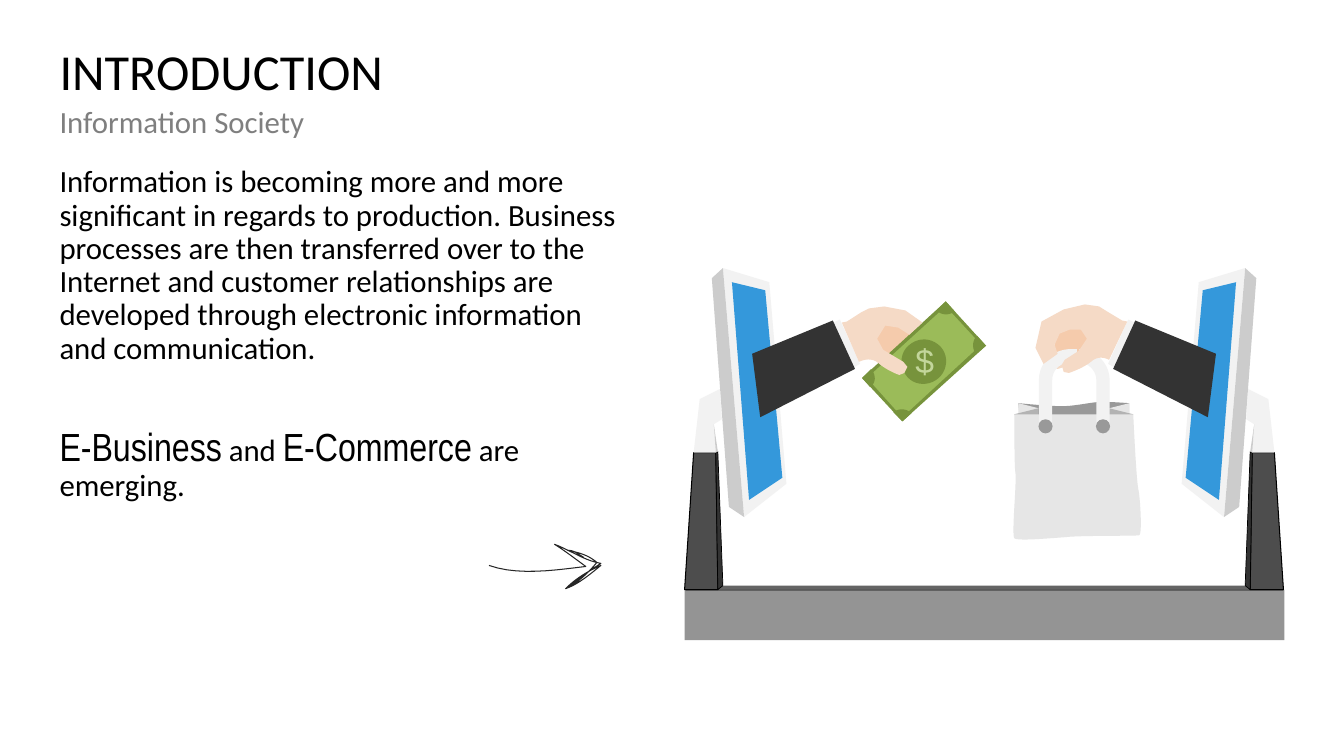
from dataclasses import dataclass, replace

from lxml.etree import SubElement
from pptx import Presentation
from pptx.dml.color import RGBColor
from pptx.enum.shapes import MSO_SHAPE as Shape
from pptx.enum.text import MSO_ANCHOR as Anchor, MSO_AUTO_SIZE as AutoSize, PP_ALIGN as Align
from pptx.oxml.ns import qn
from pptx.util import Inches, Pt

CURVE_STEPS = 10
SCENE_WIDTH_SUM = 19.52  # left x + right x of the two facing monitors
BAG_WIDTH_SUM = 21.3

# A node is (x, y) for a straight line or (x1, y1, x2, y2, x, y) for a curve.
Node = tuple[float, ...]


@dataclass(frozen=True)
class Outline:
    nodes: list[Node]
    fill: str | None = None
    line: str | None = None
    weight: float = 0.75


@dataclass(frozen=True)
class Span:
    text: str
    size: float = 22
    color: str = "000000"
    font: str = "Calibri"


@dataclass(frozen=True)
class Block:
    shape: Shape
    at: tuple[float, float, float, float]
    fill: str
    alpha: int = 100


def rgb(color: str) -> RGBColor:
    return RGBColor.from_string(color)


def set_all(target, values: dict) -> None:
    for name, value in values.items():
        setattr(target, name, value)


def place(shape, at: tuple[float, float, float, float]) -> None:
    set_all(shape, dict(zip(("left", "top", "width", "height"), map(Inches, at))))


def paint(shape, fill: str | None, line: str | None = None, weight: float = 0.75) -> None:
    shape.shadow.inherit = False
    if fill:
        shape.fill.solid()
        shape.fill.fore_color.rgb = rgb(fill)
    else:
        shape.fill.background()
    if line:
        shape.line.color.rgb = rgb(line)
        shape.line.width = Pt(weight)
    else:
        shape.line.fill.background()


def flatten(nodes: list[Node]) -> list[tuple[float, float]]:
    """Turn lines and cubic curves into a list of points."""
    points = [nodes[0]]
    for node in nodes[1:]:
        if len(node) == 2:
            points.append(node)
            continue
        x0, y0 = points[-1]
        x1, y1, x2, y2, x3, y3 = node
        for step in range(1, CURVE_STEPS + 1):
            t = step / CURVE_STEPS
            a, b, c, d = (1 - t) ** 3, 3 * t * (1 - t) ** 2, 3 * t * t * (1 - t), t ** 3
            points.append((a * x0 + b * x1 + c * x2 + d * x3, a * y0 + b * y1 + c * y2 + d * y3))
    return points


def mirror(outlines: list[Outline], width_sum: float) -> list[Outline]:
    return [replace(outline, nodes=[tuple(width_sum - value if i % 2 == 0 else value
                                          for i, value in enumerate(node))
                                    for node in outline.nodes])
            for outline in outlines]


def draw_outlines(page, outlines: list[Outline]) -> None:
    for outline in outlines:
        points = [(Inches(x), Inches(y)) for x, y in flatten(outline.nodes)]
        builder = page.shapes.build_freeform(*points[0])
        builder.add_line_segments(points[1:], close=outline.fill is not None)
        paint(builder.convert_to_shape(), outline.fill, outline.line, outline.weight)


def draw_blocks(page, blocks: list[Block]) -> None:
    for block in blocks:
        shape = page.shapes.add_shape(block.shape, *map(Inches, block.at))
        paint(shape, block.fill)
        if block.alpha < 100:
            color = shape.fill._xPr.find(".//" + qn("a:srgbClr"))
            SubElement(color, qn("a:alpha"), val=str(block.alpha * 1000))


def write(box, at: tuple[float, float, float, float], paragraphs: list[list[Span]],
          wrap: bool = True, gap: float = 0, **paragraph_format) -> None:
    place(box, at)
    frame = box.text_frame
    set_all(frame, {"margin_left": 0, "margin_top": 0, "margin_right": 0, "margin_bottom": 0,
                    "word_wrap": wrap, "auto_size": AutoSize.NONE, "vertical_anchor": Anchor.TOP})
    for index, spans in enumerate(paragraphs):
        para = frame.add_paragraph() if index else frame.paragraphs[0]
        properties = para._p.get_or_add_pPr()
        set_all_xml = {"marL": "0", "indent": "0"}
        for name, value in set_all_xml.items():
            properties.set(name, value)
        SubElement(properties, qn("a:buNone"))
        set_all(para, {"alignment": Align.LEFT, "space_before": Pt(gap if index else 0),
                       **paragraph_format})
        for item in spans:
            span = para.add_run()
            span.text = item.text
            set_all(span.font, {"name": item.font, "size": Pt(item.size)})
            span.font.color.rgb = rgb(item.color)


ARROW = [Outline([(4.85, 5.61), (5.13, 5.71, 5.49, 5.66, 5.81, 5.62), (5.7, 5.54, 5.61, 5.47, 5.5, 5.4),
                  (5.66, 5.46, 5.79, 5.56, 5.96, 5.59), (5.83, 5.67, 5.72, 5.76, 5.61, 5.84),
                  (5.73, 5.8, 5.85, 5.7, 5.96, 5.61), (5.84, 5.66, 5.71, 5.74, 5.61, 5.84),
                  (5.72, 5.79, 5.83, 5.69, 5.92, 5.58), (5.84, 5.51, 5.74, 5.48, 5.63, 5.46),
                  (5.7, 5.46, 5.72, 5.49, 5.79, 5.53)], line="262626")]
DESK = [Block(Shape.RECTANGLE, (6.79, 5.85, 5.95, 0.5), "262626", 49),
        Block(Shape.RECTANGLE, (6.8, 5.81, 5.93, 0.05), "262626", 71)]
MONEY = [
    Outline([(9.12, 3.35), (9.12, 3.46, 8.97, 3.59, 8.87, 3.59), (8.76, 3.59, 8.68, 3.5, 8.68, 3.38),
             (8.68, 3.27, 8.76, 3.18, 8.87, 3.18), (8.97, 3.18, 9.12, 3.23, 9.12, 3.35)], "F5CBAC"),
    Outline([(8.95, 4.18), (8.55, 3.75), (9.38, 2.99), (9.78, 3.43)], "77933C"),
    Outline([(9.38, 3.04), (9.73, 3.42), (8.95, 4.14), (8.6, 3.75)], "9BBB59"),
    Outline([(8.64, 3.66), (8.69, 3.72, 8.69, 3.8, 8.63, 3.84), (8.55, 3.75)], "77933C"),
    Outline([(9.29, 3.08), (9.34, 3.13, 9.41, 3.13, 9.47, 3.09), (9.38, 2.99)], "77933C"),
    Outline([(9.04, 4.1), (8.99, 4.05, 8.91, 4.05, 8.86, 4.09), (8.95, 4.18)], "77933C"),
    Outline([(9.68, 3.51), (9.64, 3.46, 9.64, 3.38, 9.69, 3.33), (9.78, 3.43)], "77933C"),
    Outline([(9.33, 3.44), (9.41, 3.53, 9.4, 3.67, 9.31, 3.75), (9.22, 3.83, 9.08, 3.83, 9, 3.74),
             (8.92, 3.65, 8.92, 3.51, 9.01, 3.43), (9.11, 3.34, 9.24, 3.35, 9.33, 3.44)], "77933C")]
MONITOR_AND_SLEEVE = [
    Outline([(7.38, 5.13), (7.8, 4.8), (7.63, 2.8), (7.17, 2.66)], "F2F2F2"),
    Outline([(6.88, 4.49), (7.1, 4.49), (7.12, 5.85), (6.79, 5.85)], "4D4D4D", "000000"),
    Outline([(7.12, 5.85), (7.17, 5.81), (7.12, 4.48), (7.1, 4.49)], "333333", "000000", 0.5),
    Outline([(6.88, 4.49), (6.94, 3.96), (7.14, 3.86), (7.16, 4.16), (7.08, 4.21), (7.1, 4.49)], "F2F2F2"),
    Outline([(7.08, 4.21), (7.12, 4.48), (7.1, 4.49)], "CCCCCC"),
    Outline([(7.06, 2.76), (7.23, 5.03), (7.38, 5.13), (7.17, 2.66)], "CCCCCC"),
    Outline([(7.43, 4.96), (7.76, 4.74), (7.59, 2.88), (7.26, 2.8)], "3498DB"),
    Outline([(8.22, 3.22), (8.33, 3.17), (8.53, 3.61), (8.44, 3.66)], "F2F2F2"),
    Outline([(8.26, 3.18), (8.48, 3.66), (7.54, 4.14), (7.46, 3.51)], "333333")]
PAYING_HAND = [Outline([
    (8.52, 3.59), (8.52, 3.59, 8.63, 3.53, 8.71, 3.6), (8.8, 3.68, 8.92, 3.72, 8.92, 3.72), (8.97, 3.7),
    (9, 3.64), (8.96, 3.59), (8.76, 3.47), (8.7, 3.36), (8.78, 3.23), (8.91, 3.25), (9.02, 3.32),
    (9.15, 3.2), (8.98, 3.08), (8.77, 3.04), (8.62, 3.06), (8.54, 3.1), (8.4, 3.19), (8.35, 3.2)], "F5DAC6")]
BAG_PALM = [
    Outline([(10.46, 3.38), (10.46, 3.5, 10.44, 3.63, 10.65, 3.59), (10.76, 3.57, 10.84, 3.5, 10.84, 3.38),
             (10.84, 3.27, 10.76, 3.18, 10.65, 3.18), (10.55, 3.18, 10.46, 3.27, 10.46, 3.38)], "F5CBAC"),
    Outline([(10.35, 3.61), (10.49, 3.66), (10.56, 3.64), (10.56, 3.51), (10.49, 3.51)], "F5DAC6")]
BAG_INSIDE = [Outline([(10.1, 4), (10.1, 4, 10.4, 4.03, 10.53, 4.03), (10.66, 4.03, 10.83, 3.99, 10.89, 3.99),
                       (10.95, 3.98, 11.2, 4, 11.2, 4), (11.2, 4.39), (10.14, 4.39)], "999999")]
BAG_FOLDS = [Outline([(10.3, 4.05), (10.1, 4), (10.1, 4.29)], "E6E6E6"),
             Outline([(10.06, 4.11), (10.3, 4.05), (10.3, 4.47)], "B3B3B3")]
BAG_FRONT = [Outline([
    (10.06, 4.11), (11.24, 4.11), (11.24, 4.11, 11.27, 4.77, 11.29, 4.85),
    (11.31, 4.94, 11.33, 5.3, 11.3, 5.31), (11.27, 5.32, 10.7, 5.31, 10.56, 5.33),
    (10.41, 5.34, 10.09, 5.37, 10.06, 5.34), (10.03, 5.31, 10.09, 4.74, 10.07, 4.68),
    (10.06, 4.61, 10.06, 4.11, 10.06, 4.11)], "E6E6E6")]
BAG_HANDLES = [
    Outline([(10.37, 4.22), (10.37, 3.77), (10.37, 3.64, 10.47, 3.54, 10.6, 3.53), (10.68, 3.53)],
            line="F2F2F2", weight=9.5),
    Outline([(10.7, 3.53), (10.83, 3.53, 10.94, 3.64, 10.94, 3.77), (10.94, 4.22)],
            line="F2F2F2", weight=9.5)]
EYELETS = [Block(Shape.OVAL, (left, 4.16, 0.14, 0.14), "999999") for left in (10.3, 10.87)]
BAG_HAND = [Outline([
    (10.51, 3.31), (10.61, 3.27), (10.72, 3.27), (10.78, 3.36), (10.7, 3.48), (10.56, 3.57), (10.53, 3.62),
    (10.55, 3.69), (10.6, 3.7), (10.6, 3.7, 10.73, 3.66, 10.82, 3.59), (10.9, 3.51, 11, 3.57, 11, 3.57),
    (11.18, 3.19), (11.13, 3.18), (10.98, 3.09), (10.9, 3.04), (10.76, 3.02), (10.55, 3.07), (10.33, 3.19),
    (10.27, 3.45), (10.35, 3.61), (10.49, 3.51), (10.46, 3.42)], "F5DAC6")]
BODY = [[Span("Information is becoming more and more significant in regards to production. Business "
              "processes are then transferred over to the Internet and customer relationships are "
              "developed through electronic information and communication.")],
        [Span("E-Business", 28, font="Arial Narrow"), Span(" and "),
         Span("E-Commerce", 28, font="Arial Narrow"), Span(" are emerging.")]]


def main() -> None:
    deck = Presentation()
    set_all(deck, {"slide_width": Inches(13.33), "slide_height": Inches(7.5)})
    page = deck.slides.add_slide(deck.slide_layouts.get_by_name("Two Content"))
    title, subtitle, body = page.placeholders
    spacing = {"line_spacing": 0.9, "space_after": Pt(10)}
    write(title, (0.59, 0.47, 12.15, 1.18), [[Span("INTRODUCTION", 36)]], line_spacing=0.9)
    write(subtitle, (0.59, 1.06, 12.15, 0.59), [[Span("Information Society", color="7F7F7F")]], **spacing)
    write(body, (0.59, 1.65, 5.63, 4.71), BODY, gap=34, **spacing)

    draw_outlines(page, ARROW)
    draw_blocks(page, DESK)
    draw_outlines(page, MONEY)
    dollar = page.shapes.add_textbox(0, 0, 0, 0)
    write(dollar, (9.08, 3.37, 0.19, 0.4), [[Span("$", 24, "C3D69B", "Arial")]], wrap=False)
    draw_outlines(page, MONITOR_AND_SLEEVE + PAYING_HAND + BAG_PALM + BAG_INSIDE + BAG_FOLDS
                  + mirror(BAG_FOLDS, BAG_WIDTH_SUM) + BAG_FRONT
                  + mirror(MONITOR_AND_SLEEVE, SCENE_WIDTH_SUM) + BAG_HANDLES)
    draw_blocks(page, EYELETS)
    draw_outlines(page, BAG_HAND)
    deck.save("out.pptx")


if __name__ == "__main__":
    main()
